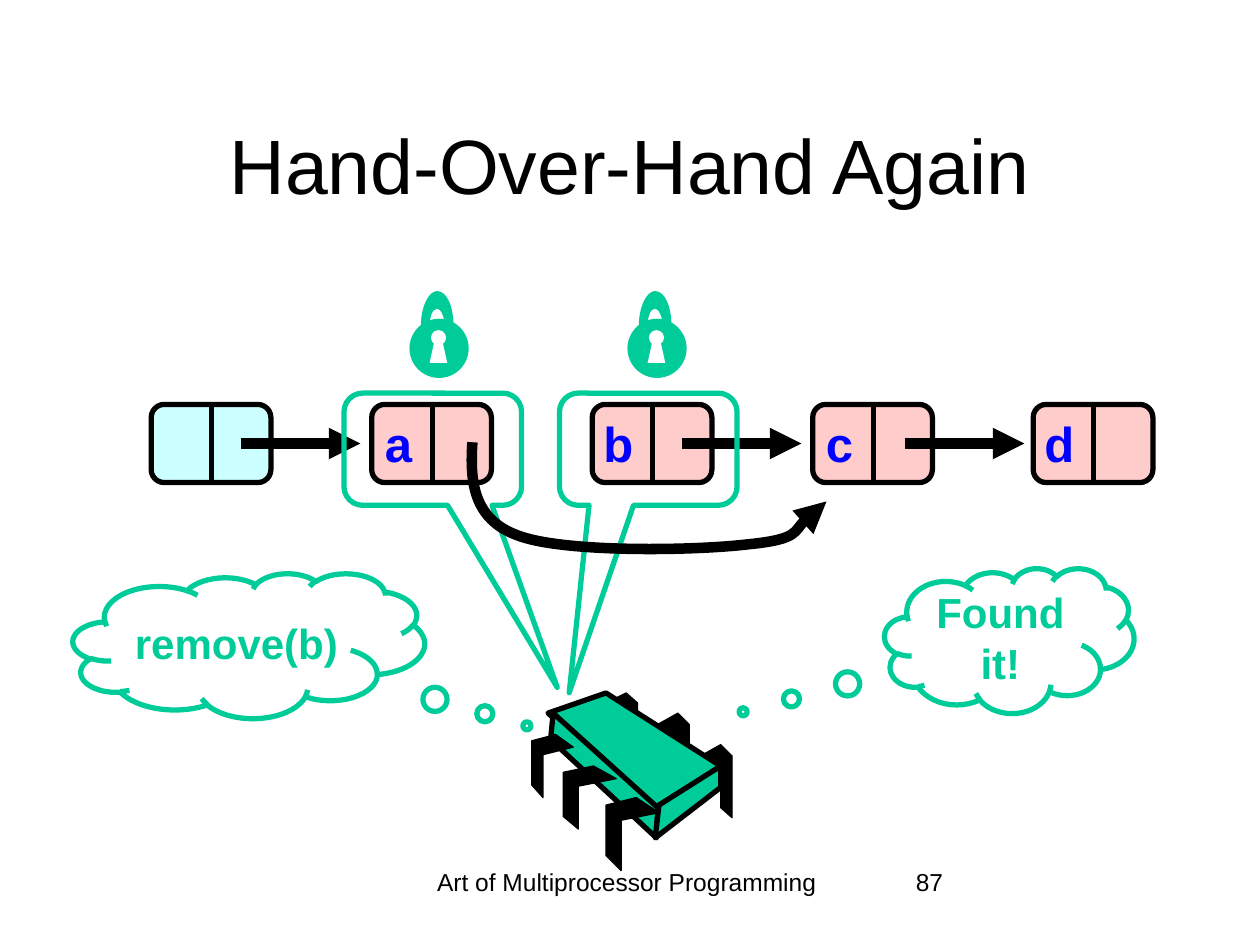
from lxml.etree import SubElement
from pptx import Presentation
from pptx.dml.color import RGBColor
from pptx.enum.shapes import MSO_CONNECTOR, MSO_SHAPE
from pptx.enum.text import MSO_ANCHOR, MSO_AUTO_SIZE, PP_ALIGN
from pptx.oxml.ns import qn
from pptx.util import Pt

PX = 9144
BLACK = RGBColor(0x00, 0x00, 0x00)
WHITE = RGBColor(0xFF, 0xFF, 0xFF)
GREEN = RGBColor(0x00, 0xCC, 0x99)
BLUE = RGBColor(0x00, 0x00, 0xFF)
PINK = RGBColor(0xFF, 0xCC, 0xCC)
CYAN = RGBColor(0xCC, 0xFF, 0xFF)

BACK_LEG = [(0, 9), (16, 0), (25, 9), (25, 58), (16, 50), (16, 17), (0, 25)]
FRONT_LEG = [(24, 0), (42, 12), (12, 18), (12, 58), (0, 46), (0, 6)]


def px(*lengths):
    return [round(length * PX) for length in lengths]


def style(shape, fill=None, line=None, weight=3):
    shape.shadow.inherit = False
    if fill is None:
        shape.fill.background()
    else:
        shape.fill.solid()
        shape.fill.fore_color.rgb = fill
    if line is None:
        shape.line.fill.background()
    else:
        shape.line.color.rgb = line
        shape.line.width = Pt(weight)


def write(shape, text, size, color=BLACK, bold=False, align=PP_ALIGN.LEFT,
          anchor=MSO_ANCHOR.TOP, wrap=True):
    frame = shape.text_frame
    frame.word_wrap = wrap
    frame.vertical_anchor = anchor
    if not wrap:
        frame.auto_size = MSO_AUTO_SIZE.SHAPE_TO_FIT_TEXT
    paragraph = frame.paragraphs[0]
    paragraph.text = text
    paragraph.alignment = align
    paragraph.font.name = "Arial"
    paragraph.font.size = Pt(size)
    paragraph.font.bold = bold
    paragraph.font.color.rgb = color


def add_text(shapes, box, text, size, **options):
    write(shapes.add_textbox(*px(*box)), text, size, **options)


def add_preset(shapes, kind, box, adjustments=(), **look):
    shape = shapes.add_shape(kind, *px(*box))
    for index, value in enumerate(adjustments):
        shape.adjustments[index] = value
    style(shape, **look)
    return shape


def add_arrowhead(shape):
    SubElement(shape.element.find(".//" + qn("a:ln")), qn("a:tailEnd"), type="triangle")


def add_line(shapes, start, end, weight, arrow=False):
    connector = shapes.add_connector(MSO_CONNECTOR.STRAIGHT, *px(*start, *end))
    connector.line.color.rgb = BLACK
    connector.line.width = Pt(weight)
    if arrow:
        add_arrowhead(connector)
    SubElement(connector.element.spPr, qn("a:effectLst"))


def add_polygon(shapes, points, close=True, **look):
    builder = shapes.build_freeform(*points[0], scale=PX)
    builder.add_line_segments(points[1:], close=close)
    shape = builder.convert_to_shape()
    style(shape, **look)
    return shape


def add_curve(shapes, start, segments, close=False, **look):
    points = [start] + [point for segment in segments for point in segment]
    shape = add_polygon(shapes, points, close, **look)
    steps = iter(shape.element.findall(".//" + qn("a:lnTo")))
    for segment in segments:
        group = [next(steps) for _ in segment]
        if len(group) == 3:
            group[0].tag
            curve = SubElement(group[0].getparent(), qn("a:cubicBezTo"))
            group[0].addprevious(curve)
            for step in group:
                curve.append(step[0])
                step.getparent().remove(step)
    return shape


def add_node(slide, left, label, fill):
    shapes = slide.shapes.add_group_shape().shapes
    add_preset(shapes, MSO_SHAPE.ROUNDED_RECTANGLE, (left, 321, 95, 62), fill=fill, line=BLACK)
    add_line(shapes, (left + 48, 320), (left + 48, 384), 3)
    if label:
        add_text(shapes, (left - 1, 323, 43, 57), label, 28, color=BLUE, bold=True,
                 align=PP_ALIGN.RIGHT, wrap=False)


def add_lock(slide, left):
    shapes = slide.shapes.add_group_shape().shapes
    add_preset(shapes, MSO_SHAPE.OVAL, (left, 253, 47, 47), fill=GREEN)
    add_preset(shapes, MSO_SHAPE.OVAL, (left + 17, 262, 12, 12), fill=WHITE)
    keyhole = [(16, 288), (20, 270), (26, 270), (30, 288)]
    add_polygon(shapes, [(left + x, y) for x, y in keyhole], fill=WHITE)
    shackle = [
        [(16, 252), (18, 245), (22, 245)],
        [(25, 245), (28, 252), (28, 259)],
        [(35, 259)],
        [(35, 244), (30, 231), (22, 231)],
        [(15, 231), (9, 244), (9, 259)],
    ]
    add_curve(shapes, (left + 16, 259),
              [[(left + x, y) for x, y in segment] for segment in shackle],
              close=True, fill=GREEN)


def add_leg(shapes, outline, left, top, width, height):
    full_width = max(x for x, _ in outline)
    full_height = max(y for _, y in outline)
    points = [(left + round(x * width / full_width), top + round(y * height / full_height))
              for x, y in outline]
    add_polygon(shapes, points, fill=BLACK, line=BLACK, weight=0.75)


def add_chip(slide):
    shapes = slide.shapes.add_group_shape().shapes
    for box in [(556, 591, 25, 58), (522, 566, 25, 58), (481, 550, 25, 50)]:
        add_leg(shapes, BACK_LEG, *box)
    for face in [
        [(481, 550), (572, 608), (521, 643), (435, 566)],
        [(439, 566), (522, 641), (521, 665), (437, 587)],
        [(572, 608), (572, 625), (520, 665), (523, 639)],
    ]:
        add_polygon(shapes, face, fill=GREEN, line=BLACK)
    for box in [(481, 633, 42, 58), (447, 608, 42, 50), (422, 583, 33, 50)]:
        add_leg(shapes, FRONT_LEG, *box)


def add_thought(slide, box, adjustments, text):
    cloud = add_preset(slide.shapes, MSO_SHAPE.CLOUD_CALLOUT, box, adjustments, line=GREEN)
    write(cloud, text, 24, color=GREEN, bold=True, align=PP_ALIGN.CENTER,
          anchor=MSO_ANCHOR.MIDDLE)


def main():
    presentation = Presentation()
    presentation.slide_width, presentation.slide_height = px(1000, 750)
    slide = presentation.slides.add_slide(presentation.slide_layouts[6])
    shapes = slide.shapes

    add_text(shapes, (310, 683, 375, 50), "Art of Multiprocessor Programming", 14,
             align=PP_ALIGN.CENTER)
    add_text(shapes, (717, 683, 208, 50), "87", 14)
    add_text(shapes, (75, 67, 850, 125), "Hand-Over-Hand Again", 44,
             align=PP_ALIGN.CENTER, anchor=MSO_ANCHOR.MIDDLE)

    for index, label in enumerate(["", "a", "b", "c", "d"]):
        add_node(slide, 120 + 175 * index, label, PINK if label else CYAN)
    for left in (191, 541, 718):
        add_line(shapes, (left, 352), (left + 95, 352), 6, arrow=True)

    for left, adjustments in [(444, (-0.445, 2.171, 0.167)), (273, (0.701, 2.124, 0.167))]:
        add_preset(shapes, MSO_SHAPE.ROUNDED_RECTANGULAR_CALLOUT, (left, 312, 141, 89),
                   adjustments, line=GREEN)
    for left in (498, 325):
        add_lock(slide, left)

    add_chip(slide)
    add_thought(slide, (58, 455, 279, 115), (0.791, 0.553), "remove(b)")
    add_thought(slide, (702, 451, 198, 115), (-1.067, 0.491), "Found it!")

    bypass = add_curve(shapes, (375, 351), [
        [(373, 381), (375, 412), (411, 425)],
        [(448, 439), (553, 437), (594, 432)],
        [(635, 428), (643, 405), (656, 398)],
    ], line=BLACK, weight=6)
    add_arrowhead(bypass)

    presentation.save("out.pptx")


if __name__ == "__main__":
    main()
